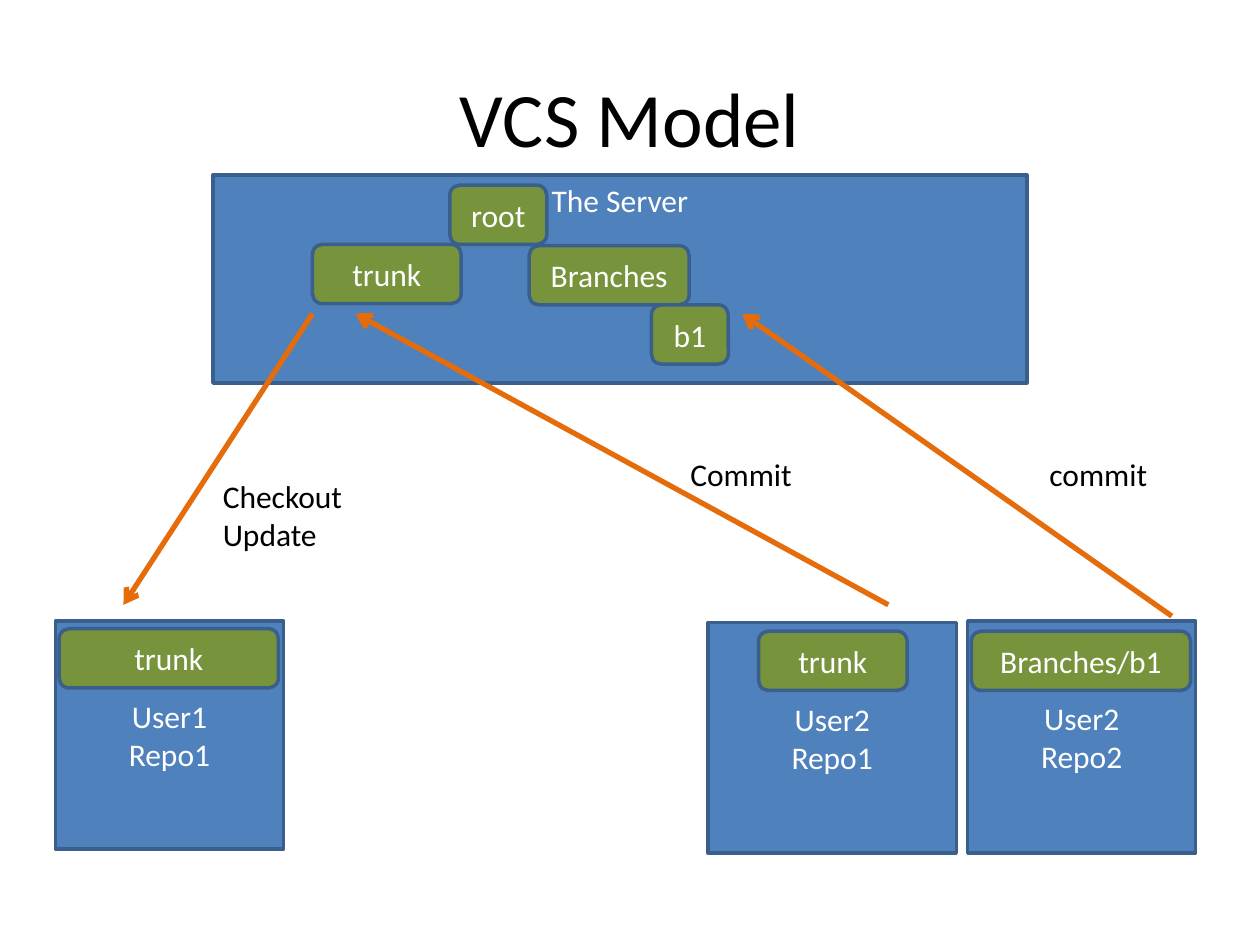
from lxml import etree
from pptx import Presentation
from pptx.dml.color import RGBColor
from pptx.enum.shapes import MSO_CONNECTOR as Connector, MSO_SHAPE as Shape
from pptx.enum.text import MSO_ANCHOR as Anchor, PP_ALIGN as Align
from pptx.oxml.ns import qn
from pptx.util import Inches, Pt

COLORS = {
    "repo": "4F81BD",
    "folder": "77933C",
    "outline": "3A5F8C",
    "arrow": "E46C0A",
    "light": "FFFFFF",
    "dark": "000000",
}


def color(name):
    return RGBColor.from_string(COLORS[name])


def write(box, text, ink, size=18, align=Align.CENTER, anchor=Anchor.MIDDLE):
    frame = box.text_frame
    frame.vertical_anchor = anchor
    para = frame.paragraphs[0]
    para.text = text
    para.alignment = align
    para.font.name = "Calibri"
    para.font.size = Pt(size)
    para.font.color.rgb = color(ink)


deck = Presentation()
deck.slide_width, deck.slide_height = Inches(10), Inches(7.5)
slide = deck.slides.add_slide(deck.slide_layouts[6])
shapes = slide.shapes

# Title
title = shapes.add_textbox(Inches(0.5), Inches(0.3), Inches(9), Inches(1.25))
title.text_frame.word_wrap = True
write(title, "VCS Model", "dark", size=44)

# Server and repositories, then the folders inside them
FOLDER_HEIGHT = 0.47
repos = [
    ("The Server", 1.69, 1.39, 6.46, 1.65, Anchor.TOP),
    ("User2\nRepo2", 7.68, 4.93, 1.81, 1.84, Anchor.MIDDLE),
    ("User2\nRepo1", 5.62, 4.94, 1.97, 1.83, Anchor.MIDDLE),
    ("User1\nRepo1", 0.44, 4.93, 1.81, 1.81, Anchor.MIDDLE),
]
folders = [
    ("trunk", 2.48, 1.94, 1.18),
    ("Branches", 4.2, 1.95, 1.27),
    ("Branches/b1", 7.71, 5.01, 1.74),
    ("trunk", 6.02, 5.01, 1.18),
    ("trunk", 0.47, 4.99, 1.74),
    ("b1", 5.17, 2.42, 0.61),
    ("root", 3.57, 1.47, 0.77),
]
boxes = [(Shape.RECTANGLE, "repo", *repo) for repo in repos]
boxes += [(Shape.ROUNDED_RECTANGLE, "folder", *folder, FOLDER_HEIGHT, Anchor.MIDDLE)
          for folder in folders]
for kind, fill, text, left, top, width, height, anchor in boxes:
    box = shapes.add_shape(kind, Inches(left), Inches(top), Inches(width), Inches(height))
    box.shadow.inherit = False
    box.fill.solid()
    box.fill.fore_color.rgb = color(fill)
    box.line.color.rgb = color("outline")
    box.line.width = Pt(2)
    write(box, text, "light", anchor=anchor)

# Arrows between the server and the repositories
for x1, y1, x2, y2 in [
    (2.48, 2.49, 0.98, 4.8),
    (7.05, 4.8, 2.82, 2.49),
    (9.3, 4.89, 5.89, 2.49),
]:
    arrow = shapes.add_connector(
        Connector.STRAIGHT, Inches(x1), Inches(y1), Inches(x2), Inches(y2))
    arrow.line.color.rgb = color("arrow")
    arrow.line.width = Pt(3)
    etree.SubElement(arrow.line._get_or_add_ln(), qn("a:tailEnd"), type="arrow")
    etree.SubElement(arrow._element.spPr, qn("a:effectLst"))

# Arrow labels
for text, left, top, width, height in [
    ("Commit", 5.38, 3.56, 1.02, 0.4),
    ("Checkout\nUpdate", 1.67, 3.74, 1.16, 0.71),
    ("commit", 8.23, 3.56, 0.99, 0.4),
]:
    label = shapes.add_textbox(Inches(left), Inches(top), Inches(width), Inches(height))
    label.text_frame.word_wrap = False
    write(label, text, "dark", align=Align.LEFT, anchor=Anchor.TOP)

deck.save("out.pptx")
